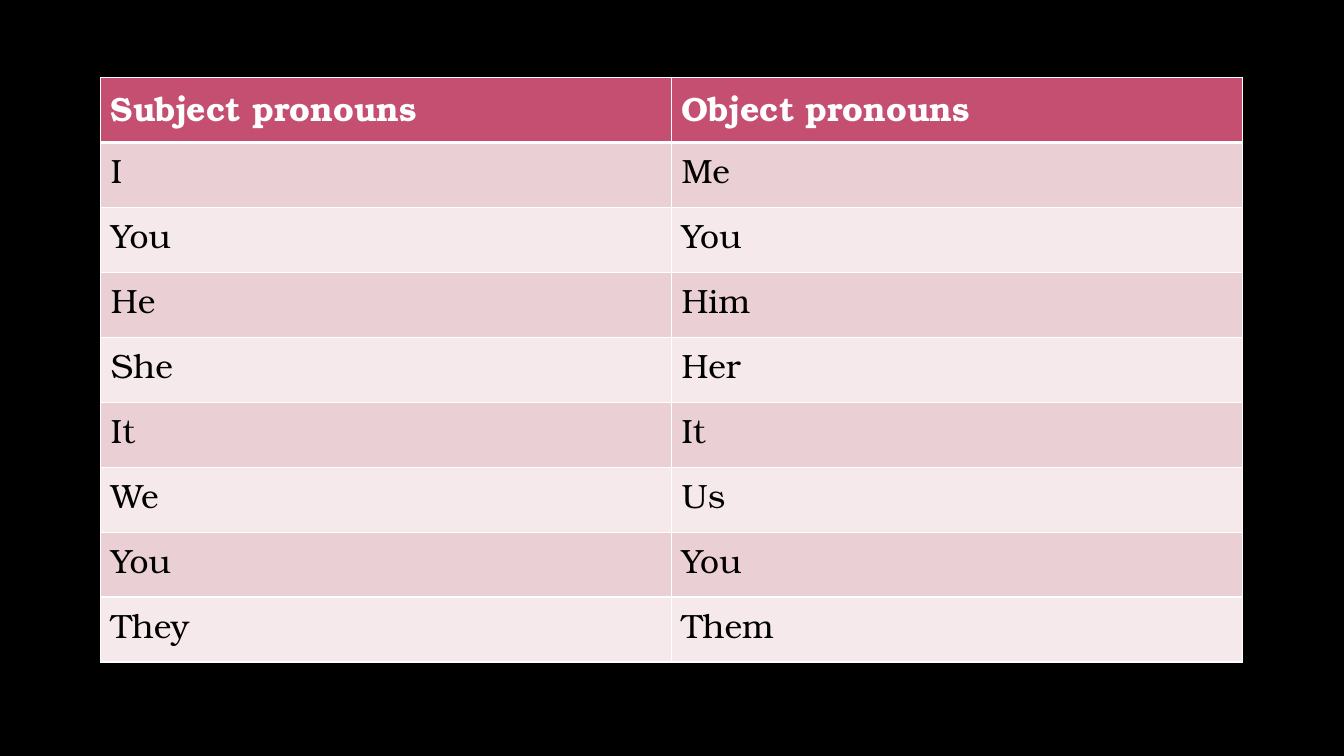
from lxml import etree
from pptx import Presentation
from pptx.dml.color import RGBColor
from pptx.enum.text import MSO_ANCHOR
from pptx.oxml.ns import qn
from pptx.util import Inches, Pt

TOP = MSO_ANCHOR.TOP
BLANK_LAYOUT = 6
COLORS = {
    "background": "000000",
    "header": "C54F71",
    "odd_row": "EAD0D5",
    "even_row": "F5E9EB",
    "border": "FFFFFF",
    "header_text": "FFFFFF",
    "body_text": "000000",
}
PRONOUNS = [
    ("Subject pronouns", "Object pronouns"),
    ("I", "Me"),
    ("You", "You"),
    ("He", "Him"),
    ("She", "Her"),
    ("It", "It"),
    ("We", "Us"),
    ("You", "You"),
    ("They", "Them"),
]


class PageBuilder:
    """Holds the text style and the current slide."""

    font_name = "TeX Gyre Bonum"
    font_size = Pt(24)

    def __init__(self, deck):
        self.page = deck.slides.add_slide(deck.slide_layouts[BLANK_LAYOUT])

    def color(self, name):
        return RGBColor.from_string(COLORS[name])

    def background(self, color_name):
        fill = self.page.background.fill
        fill.solid()
        fill.fore_color.rgb = self.color(color_name)

    def table(self, rows, left, top, width, height):
        frame = self.page.shapes.add_table(
            len(rows), len(rows[0]), left, top, width, height)
        for row_index, words in enumerate(rows):
            for column_index, word in enumerate(words):
                cell = frame.table.cell(row_index, column_index)
                self.cell(cell, word, row_index)

    def cell(self, cell, word, row_index):
        is_header = row_index == 0
        stripe = "odd_row" if row_index % 2 else "even_row"
        cell.fill.solid()
        cell.fill.fore_color.rgb = self.color("header" if is_header else stripe)
        cell.vertical_anchor = TOP
        cell.text_frame.text = word
        font = cell.text_frame.paragraphs[0].runs[0].font
        font.name = self.font_name
        font.size = self.font_size
        font.bold = is_header
        font.color.rgb = self.color("header_text" if is_header else "body_text")
        # A thick line separates the header from the first row
        self.borders(cell, top=3 if row_index == 1 else 1,
                     bottom=3 if is_header else 1)

    def borders(self, cell, top, bottom):
        properties = cell._tc.get_or_add_tcPr()
        sides = [("a:lnL", 1), ("a:lnR", 1), ("a:lnT", top), ("a:lnB", bottom)]
        for position, (tag, points) in enumerate(sides):
            line = etree.Element(qn(tag), w=str(Pt(points)))
            fill = etree.SubElement(line, qn("a:solidFill"))
            etree.SubElement(fill, qn("a:srgbClr"), val=COLORS["border"])
            properties.insert(position, line)


def main():
    deck = Presentation()
    deck.slide_width = Inches(13.33)
    deck.slide_height = Inches(7.5)

    # Black page
    builder = PageBuilder(deck)
    builder.background("background")

    # Pronoun table
    builder.table(PRONOUNS, Inches(1), Inches(0.77), Inches(11.32), Inches(5.8))

    deck.save("out.pptx")


if __name__ == "__main__":
    main()
